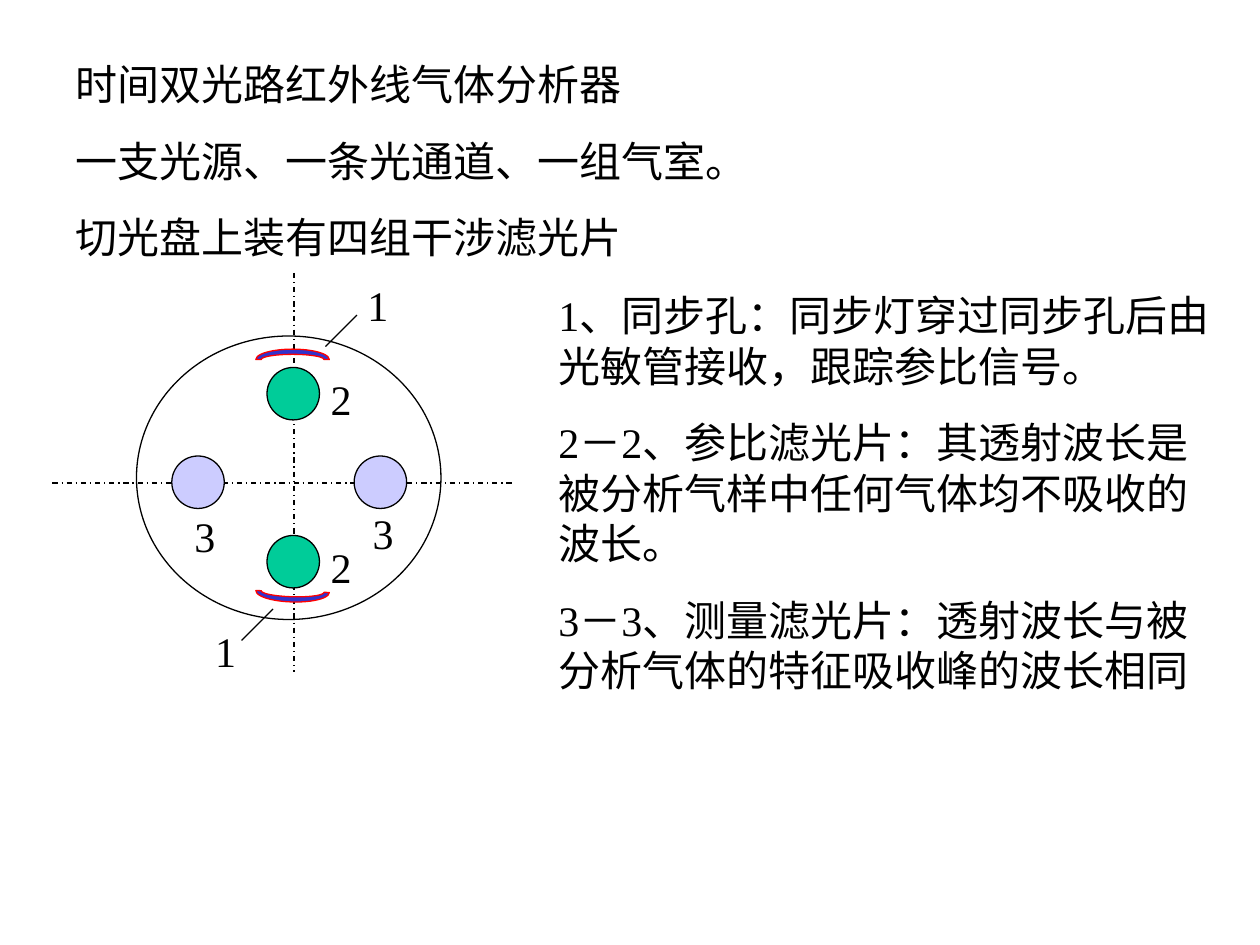
from lxml.etree import SubElement
from pptx import Presentation
from pptx.dml.color import RGBColor
from pptx.enum.dml import MSO_LINE
from pptx.enum.shapes import MSO_CONNECTOR, MSO_SHAPE
from pptx.enum.text import MSO_AUTO_SIZE, PP_ALIGN
from pptx.oxml.ns import qn
from pptx.util import Pt

FONT, SIZE, GAP = "Times New Roman", 24, 15
COLORS = {"ink": "000000", "disc": "FFFFFF", "ref": "00CC99",
          "meas": "CCCCFF", "slot": "3333CC", "rim": "FF0000"}

# Content: all lengths in points
INTRO = [
    "时间双光路红外线气体分析器",
    "一支光源、一条光通道、一组气室。",
    "切光盘上装有四组干涉滤光片",
]
NOTES = [
    "1、同步孔：同步灯穿过同步孔后由光敏管接收，跟踪参比信号。",
    "2－2、参比滤光片：其透射波长是被分析气样中任何气体均不吸收的波长。",
    "3－3、测量滤光片：透射波长与被分析气体的特征吸收峰的波长相同",
]
DISC = (78, 192, 174, 162)
AXES = [(30, 276, 294, 276), (168, 156, 168, 384)]
LEADERS = [(138, 366, 156, 348), (204, 180, 186, 198)]
HOLE = 30
HOLES = [(152.6, 210, "ref"), (98.2, 260.6, "meas"),
         (202.4, 260.6, "meas"), (152.6, 306, "ref")]
SLOTS = [(146.2, 199.5, 0), (146.2, 332, 181.5)]  # left, top, turn
LABELS = [("1", 198, 156, 36), ("1", 114, 354, 30),
          ("2", 180, 210, 30), ("2", 180, 306, 30),
          ("3", 96, 288, 42), ("3", 198, 286.5, 42)]

prs = Presentation()
prs.slide_width, prs.slide_height = Pt(720), Pt(540)
slide = prs.slides.add_slide(prs.slide_layouts[6])
shapes = slide.shapes


def color(name):
    return RGBColor.from_string(COLORS[name])


def add_text(lines, left, top, width, height, align=PP_ALIGN.LEFT):
    box = shapes.add_textbox(Pt(left), Pt(top), Pt(width), Pt(height))
    frame = box.text_frame
    frame.word_wrap = True
    frame.auto_size = MSO_AUTO_SIZE.SHAPE_TO_FIT_TEXT
    frame.text = "\n".join(lines)
    for i, para in enumerate(frame.paragraphs):
        para.alignment = align
        para.space_before = Pt(GAP if i else 0)
        font = para.runs[0].font
        font.name, font.size = FONT, Pt(SIZE)
        font.color.rgb = color("ink")


def add_part(kind, left, top, width, height, fill, line="ink"):
    part = shapes.add_shape(kind, Pt(left), Pt(top), Pt(width), Pt(height))
    part.shadow.inherit = False
    part.fill.solid()
    part.fill.fore_color.rgb = color(fill)
    part.line.color.rgb = color(line)
    part.line.width = Pt(0.75)
    return part


def add_line(ends, dash=None):
    line = shapes.add_connector(MSO_CONNECTOR.STRAIGHT, *map(Pt, ends))
    line.line.color.rgb = color("ink")
    line.line.width = Pt(0.75)
    if dash:
        line.line.dash_style = dash
    SubElement(line._element.spPr, qn("a:effectLst"))


# Introduction
add_text(INTRO, 36, 30, 540, 124)

# Chopper disc with its centre lines
add_part(MSO_SHAPE.OVAL, *DISC, "disc")
for ends in AXES:
    add_line(ends, MSO_LINE.DASH_DOT)

# Filters and sync slots
for left, top, fill in HOLES:
    add_part(MSO_SHAPE.OVAL, left, top, HOLE, HOLE, fill)
for left, top, turn in SLOTS:
    slot = add_part(MSO_SHAPE.BLOCK_ARC, left, top, 42, 12, "slot", "rim")
    slot.rotation = turn

# Leaders and numbers
for ends in LEADERS:
    add_line(ends)
for label, left, top, width in LABELS:
    add_text([label], left, top, width, 36, PP_ALIGN.CENTER)

# Explanations
add_text(NOTES, 312, 162, 390, 268)

prs.save("out.pptx")
